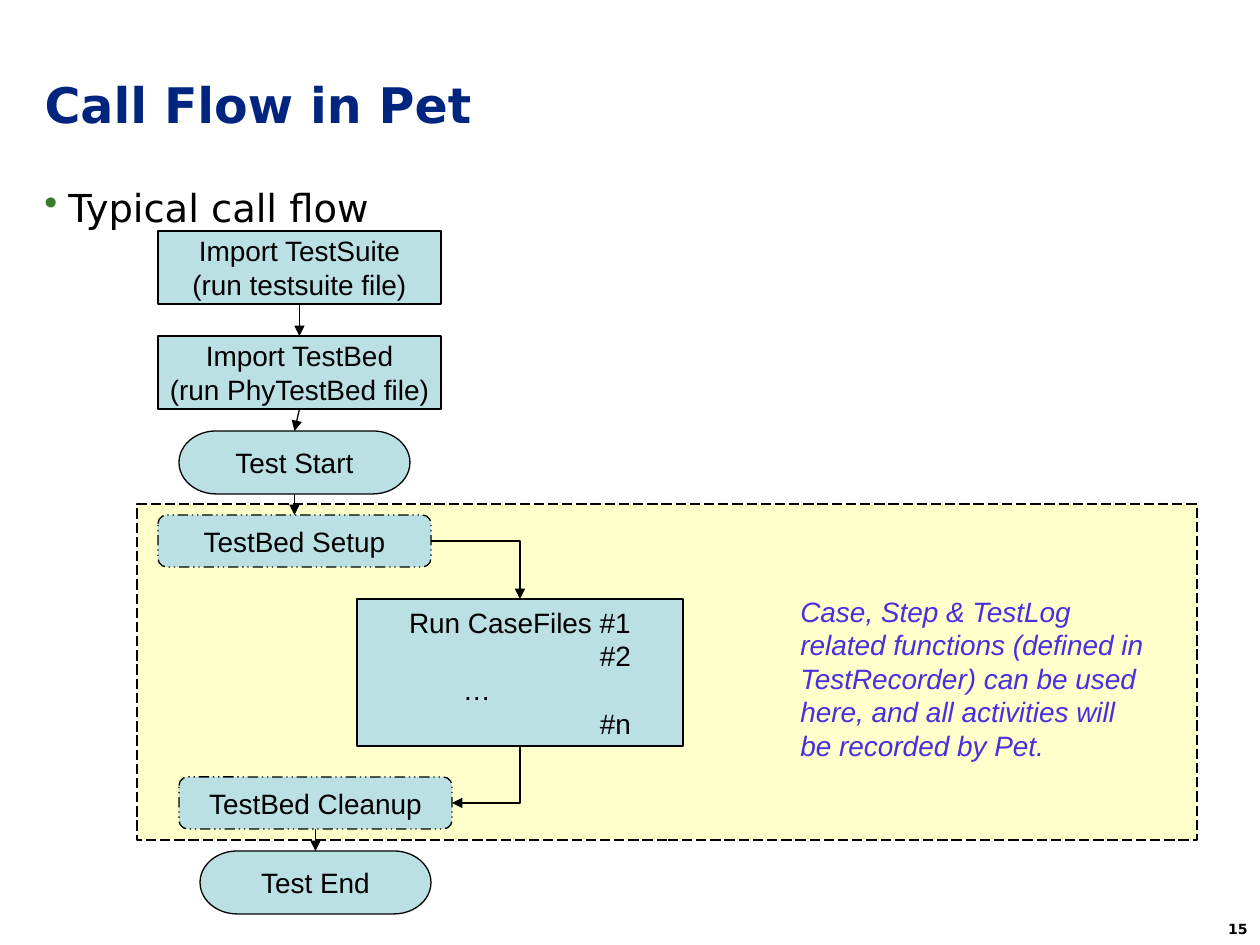
from dataclasses import dataclass

from lxml.etree import SubElement
from pptx import Presentation
from pptx.dml.color import RGBColor
from pptx.enum.dml import MSO_LINE as Dash
from pptx.enum.shapes import MSO_CONNECTOR as Conn, MSO_SHAPE as Geo
from pptx.enum.text import MSO_ANCHOR as Anchor, MSO_AUTO_SIZE as Fit, PP_ALIGN as Align
from pptx.oxml.ns import qn
from pptx.util import Pt

SCALE = 914400 / 126  # EMU in one px
TOP, LEFT, BOTTOM, RIGHT = range(4)


@dataclass(frozen=True)
class Theme:
    black: str = "000000"
    navy: str = "00257E"
    green: str = "387E29"
    violet: str = "482FDF"
    teal: str = "BBE0E3"
    yellow: str = "FFFF00"
    head: str = "DejaVu Sans"
    text: str = "Arial"
    title: int = 28
    body: int = 22
    step: int = 16
    page: int = 8
    line: float = 0.75


T = Theme()


def px(n):
    return round(n * SCALE)


def rgb(code):
    return RGBColor.from_string(code)


def write(para, text, size, font, color=T.black, bold=False, italic=False):
    run = para.add_run()
    run.text = text
    face = run.font
    face.size, face.name = Pt(size), font
    face.bold, face.italic = bold, italic
    face.color.rgb = rgb(color)


def add_text(slide, box):
    """Add a wrapping text box and return its first paragraph."""
    frame = slide.shapes.add_textbox(*map(px, box)).text_frame
    frame.word_wrap = True
    return frame.paragraphs[0]


def add_title(slide, text):
    title = slide.shapes.title
    title.left, title.top, title.width, title.height = map(px, (32, 63, 1197, 81))
    frame = title.text_frame
    frame.auto_size = Fit.NONE
    frame.vertical_anchor = Anchor.MIDDLE
    para = frame.paragraphs[0]
    para.alignment = Align.LEFT
    write(para, text, T.title, T.head, T.navy, bold=True)


def add_bullet(slide, text):
    para = add_text(slide, (32, 189, 1197, 630))
    para.line_spacing, para.space_after = Pt(20), Pt(4)
    props = para._p.get_or_add_pPr()
    props.set("marL", str(px(24)))
    props.set("indent", str(px(-24)))
    color = SubElement(props, qn("a:buClr"))
    SubElement(color, qn("a:srgbClr"), val=T.green)
    SubElement(props, qn("a:buChar"), char="•")
    write(para, text, T.body, T.head)


def add_shape(slide, kind, box, fill, dash=None):
    shape = slide.shapes.add_shape(kind, *map(px, box))
    shape.shadow.inherit = False
    shape.fill.solid()
    shape.fill.fore_color.rgb = rgb(fill)
    shape.line.color.rgb = rgb(T.black)
    shape.line.width = Pt(T.line)
    if dash:
        shape.line.dash_style = dash
    return shape


def add_zone(slide, box):
    """Add the dashed, mostly transparent area behind the steps."""
    zone = add_shape(slide, Geo.RECTANGLE, box, T.yellow, Dash.LONG_DASH)
    color = zone._element.spPr.find(qn("a:solidFill"))[0]
    SubElement(color, qn("a:alpha"), val="20000")


def add_step(slide, kind, box, lines, dash=None):
    shape = add_shape(slide, kind, box, T.teal, dash)
    frame = shape.text_frame
    frame.word_wrap = False
    frame.vertical_anchor = Anchor.MIDDLE
    for i, text in enumerate(lines):
        para = frame.add_paragraph() if i else frame.paragraphs[0]
        para.alignment = Align.CENTER
        write(para, text, T.step, T.text)
    return shape


def add_cases(slide, box):
    """Add the case step, whose numbers line up at the right."""
    lines = ("Run CaseFiles #1", "#2", "…", "#n")
    shape = add_step(slide, Geo.FLOWCHART_PROCESS, box, lines)
    frame = shape.text_frame
    frame.word_wrap = True
    frame.margin_left, frame.margin_right = px(40), px(52)
    for para in frame.paragraphs:
        para.alignment = Align.RIGHT
    dots = frame.paragraphs[2]
    dots.alignment = Align.LEFT
    dots._p.get_or_add_pPr().set("marL", str(px(66)))
    return shape


def add_arrow(slide, start, end, out=BOTTOM, into=TOP, kind=Conn.STRAIGHT):
    arrow = slide.shapes.add_connector(kind, 0, 0, 0, 0)
    arrow.begin_connect(start, out)
    arrow.end_connect(end, into)
    arrow.line.color.rgb = rgb(T.black)
    arrow.line.width = Pt(T.line)
    props = arrow._element.spPr
    SubElement(props.find(qn("a:ln")), qn("a:tailEnd"), type="triangle")
    SubElement(props, qn("a:effectLst"))
    return arrow


def add_elbow(slide, start, end, out, into):
    """Add an arrow with one corner, turned when it leaves downward."""
    arrow = add_arrow(slide, start, end, out, into, Conn.ELBOW)
    props = arrow._element.spPr
    props.find(qn("a:prstGeom")).set("prst", "bentConnector2")
    if out == BOTTOM:
        wide, high = arrow.width, arrow.height
        left = arrow.left + (wide - high) // 2
        top = arrow.top + (high - wide) // 2
        frame = props.find(qn("a:xfrm"))
        frame.attrib.pop("flipH", None)
        frame.set("rot", "5400000")
        arrow.left, arrow.top, arrow.width, arrow.height = left, top, high, wide


def add_flow(slide):
    suite = add_step(slide, Geo.FLOWCHART_PROCESS, (158, 231, 283, 73),
                     ("Import TestSuite", "(run testsuite file)"))
    bed = add_step(slide, Geo.FLOWCHART_PROCESS, (158, 336, 283, 73),
                   ("Import TestBed", "(run PhyTestBed file)"))
    setup = add_step(slide, Geo.ROUNDED_RECTANGLE, (158, 515, 273, 52),
                     ("TestBed Setup",), Dash.DASH_DOT_DOT)
    start = add_step(slide, Geo.FLOWCHART_TERMINATOR, (179, 431, 231, 63), ("Test Start",))
    end = add_step(slide, Geo.FLOWCHART_TERMINATOR, (200, 851, 231, 63), ("Test End",))
    clean = add_step(slide, Geo.ROUNDED_RECTANGLE, (179, 777, 273, 52),
                     ("TestBed Cleanup",), Dash.DASH_DOT_DOT)
    cases = add_cases(slide, (357, 599, 326, 147))
    for pair in ((suite, bed), (bed, start), (start, setup), (clean, end)):
        add_arrow(slide, *pair)
    add_elbow(slide, setup, cases, RIGHT, TOP)
    add_elbow(slide, cases, clean, BOTTOM, RIGHT)


def main():
    deck = Presentation()
    deck.slide_width, deck.slide_height = px(1260), px(945)
    slide = deck.slides.add_slide(deck.slide_layouts[5])
    page = add_text(slide, (1178, 914, 82, 32))
    page.alignment = Align.RIGHT
    write(page, "15", T.page, T.head, bold=True)
    add_zone(slide, (137, 504, 1060, 336))
    add_title(slide, "Call Flow in Pet")
    add_bullet(slide, "Typical call flow")
    add_flow(slide)
    note = add_text(slide, (788, 588, 368, 182))
    write(note, "Case, Step & TestLog related functions (defined in TestRecorder) can be "
          "used here, and all activities will be recorded by Pet.",
          T.step, T.text, T.violet, italic=True)
    deck.save("out.pptx")


if __name__ == "__main__":
    main()
